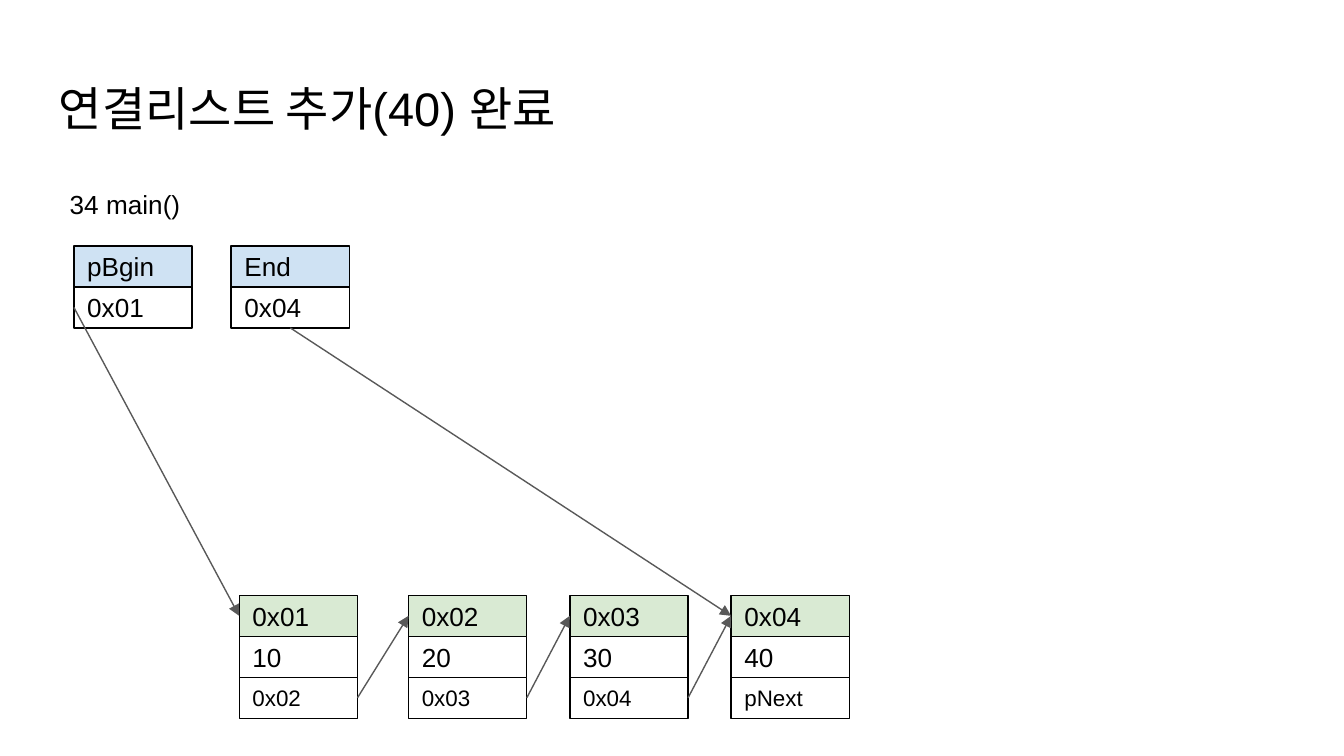
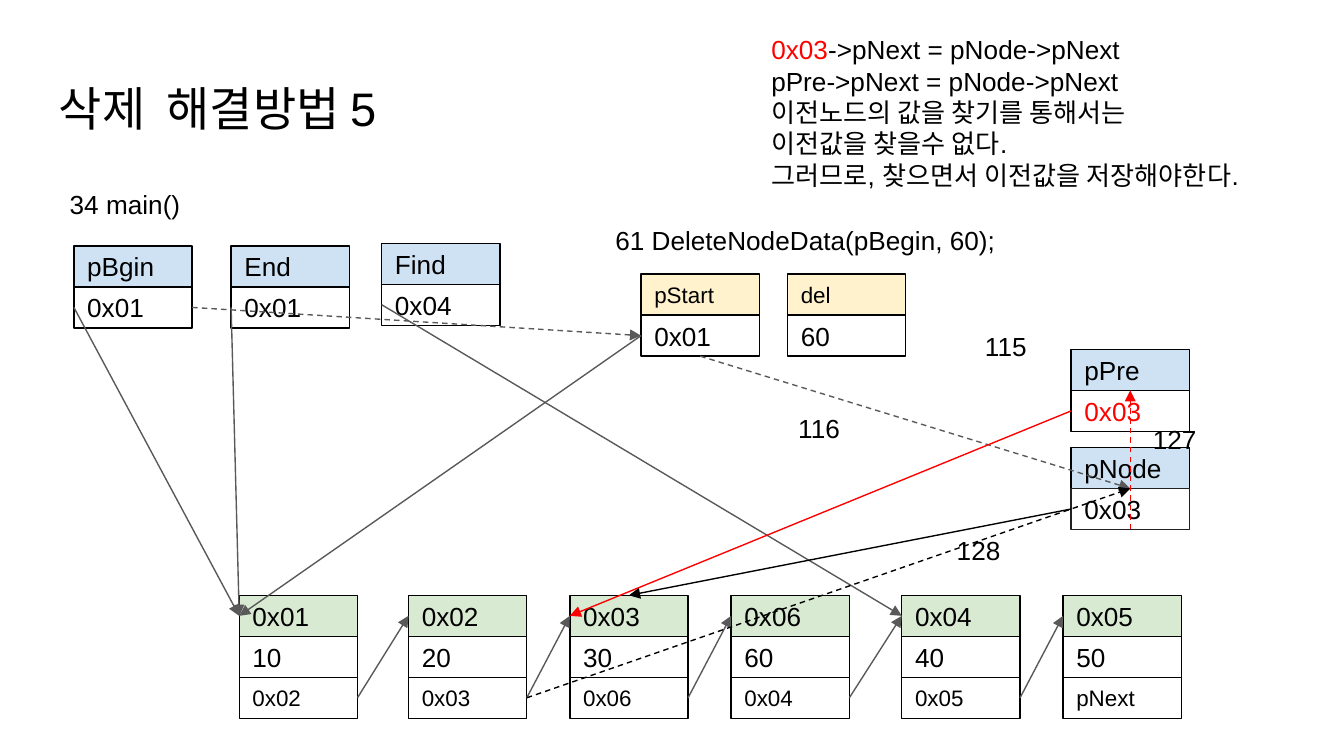
from lxml.etree import SubElement
from pptx import Presentation
from pptx.dml.color import RGBColor
from pptx.enum.dml import MSO_LINE_DASH_STYLE as Dash
from pptx.enum.shapes import MSO_CONNECTOR as Conn, MSO_SHAPE as Kind
from pptx.enum.text import MSO_ANCHOR as Anchor, MSO_AUTO_SIZE as Auto, PP_ALIGN as Align
from pptx.oxml.ns import qn
from pptx.util import Pt

SCALE = 4572
WIDE, TALL = 2000, 1125
CELL_W, CELL_H = 176, 61
PAD = 20
CHAIN_Y = 886
CHAIN_X = (356, 608, 848, 1088, 1342, 1582)
FONT = "Arial"
BLACK, WHITE, GRAY, RED = "000000", "FFFFFF", "595959", "FF0000"
BLUE, GREEN, CREAM = "CFE2F3", "D9EAD3", "FFF2CC"
TOP, LEFT, BOTTOM, RIGHT = range(4)


def px(*sizes):
    """Turn px lengths into EMU."""
    return [size * SCALE for size in sizes]


def color(code):
    """Turn a hex string into a colour."""
    return RGBColor.from_string(code)


def style(para, size, ink=BLACK):
    """Format every run of a paragraph."""
    for run in para.runs:
        run.font.name = FONT
        run.font.size = Pt(size)
        run.font.color.rgb = color(ink)


def frame(shape):
    """Set the insets and wrapping of a shape and return its text frame."""
    body = shape.text_frame
    body.word_wrap = True
    body.margin_left, body.margin_top, body.margin_right, body.margin_bottom = px(*[PAD] * 4)
    return body


def label(slide, box, text, size=14, fit=True):
    """Place plain text in a box."""
    body = frame(slide.shapes.add_textbox(*px(*box)))
    body.auto_size = Auto.SHAPE_TO_FIT_TEXT if fit else Auto.NONE
    body.text = text
    for para in body.paragraphs:
        style(para, size)
    return body


def cell(group, x, y, text, fill, size, ink, edge):
    """Draw one outlined cell."""
    shape = group.shapes.add_shape(Kind.RECTANGLE, *px(x, y, CELL_W, CELL_H))
    shape.shadow.inherit = False
    shape.fill.solid()
    shape.fill.fore_color.rgb = color(fill)
    shape.line.color.rgb = color(edge)
    shape.line.width = Pt(0.75)
    body = frame(shape)
    body.vertical_anchor = Anchor.MIDDLE
    body.text = text
    para = body.paragraphs[0]
    para.alignment = Align.LEFT
    style(para, size, ink)
    return shape


def stack(slide, x, y, texts, head, sizes=(14, 14, 12), ink=BLACK, edge=BLACK):
    """Draw a grouped column of cells with a tinted head."""
    group = slide.shapes.add_group_shape()
    cells = []
    for row, (text, size) in enumerate(zip(texts, sizes)):
        fill, tone, rim = (WHITE, ink, edge) if row else (head, BLACK, BLACK)
        cells.append(cell(group, x, y + row * CELL_H, text, fill, size, tone, rim))
    return cells


def arrow(slide, start, end, ink=GRAY, dash=False):
    """Join two (cell, side) pairs with an arrow."""
    line = slide.shapes.add_connector(Conn.STRAIGHT, 0, 0, 0, 0)
    line.begin_connect(*start)
    line.end_connect(*end)
    line.line.color.rgb = color(ink)
    line.line.width = Pt(0.75)
    if dash:
        line.line.dash_style = Dash.DASH
    props = line._element.spPr
    SubElement(props.find(qn("a:ln")), qn("a:tailEnd"), type="triangle")
    SubElement(props, qn("a:effectLst"))


def chain(slide, data):
    """Draw the linked nodes from (address, value) pairs."""
    links = [name for name, _ in data[1:]] + ["pNext"]
    nodes = [stack(slide, x, CHAIN_Y, (*pair, link), GREEN)
             for x, pair, link in zip(CHAIN_X, data, links)]
    for node, after in zip(nodes, nodes[1:]):
        arrow(slide, (node[2], RIGHT), (after[0], LEFT))
    return nodes


def base(deck, title, last, data):
    """Start a slide with its title, main() variables and chain."""
    slide = deck.slides.add_slide(deck.slide_layouts[6])
    label(slide, (68, 98, 1864, 126), title, 25.2, False)
    label(slide, (84, 260, 1098, 88), "34 main()")
    first = stack(slide, 110, 366, ("pBgin", "0x01"), BLUE)
    end = stack(slide, 344, 366, ("End", last), BLUE)
    nodes = chain(slide, data)
    arrow(slide, (first[1], LEFT), (nodes[0][0], LEFT))
    return slide, first, end, nodes


def note(slide, box):
    """Write the explanation at the top right."""
    body = label(slide, box, "0x03\npPre->pNext = pNode->pNext\v이전노드의 값을 찾기를 통해서는\n"
                 "이전값을 찾을수 없다.\n그러므로, 찾으면서 이전값을 저장해야한다.")
    lead = body.paragraphs[0]
    lead.add_run().text = "->pNext = pNode->pNext"
    style(lead, 14)
    lead.runs[0].font.color.rgb = color(RED)


def added(deck):
    """Build the slide on the finished insertion."""
    data = [("0x01", "10"), ("0x02", "20"), ("0x03", "30"), ("0x04", "40")]
    slide, _, end, nodes = base(deck, "연결리스트 추가(40) 완료", "0x04", data)
    arrow(slide, (end[1], BOTTOM), (nodes[3][0], LEFT))


def removed(deck):
    """Build the slide on the deletion."""
    data = [("0x01", "10"), ("0x02", "20"), ("0x03", "30"),
            ("0x06", "60"), ("0x04", "40"), ("0x05", "50")]
    slide, first, end, nodes = base(deck, "삭제  해결방법 5", "0x01", data)
    find = stack(slide, 568, 362, ("Find", "0x04"), BLUE)
    start = stack(slide, 954, 408, ("pStart", "0x01"), CREAM, (12, 14))
    stack(slide, 1172, 408, ("del", "60"), CREAM, (12, 14))
    prev = stack(slide, 1594, 520, ("pPre", "0x03"), BLUE, ink=RED)
    node = stack(slide, 1594, 666, ("pNode", "0x03"), BLUE, edge="212121")
    heads = [column[0] for column in nodes]
    for line in (
        ((start[1], LEFT), (heads[0], LEFT)),
        ((end[1], LEFT), (heads[0], LEFT)),
        ((find[1], LEFT), (heads[4], LEFT)),
        ((first[1], RIGHT), (start[1], LEFT), GRAY, True),
        ((node[1], LEFT), (heads[2], TOP), BLACK),
        ((start[1], BOTTOM), (node[1], TOP), GRAY, True),
        ((nodes[1][2], RIGHT), (node[1], TOP), BLACK, True),
        ((node[1], BOTTOM), (prev[1], TOP), RED, True),
        ((prev[1], LEFT), (heads[2], LEFT), RED),
    ):
        arrow(slide, *line)
    label(slide, (896, 314, 688, 88), "61 DeleteNodeData(pBegin, 60);")
    note(slide, (1128, 30, 842, 276))
    for x, y, step in ((1168, 594, "116"), (1446, 472, "115"),
                       (1404, 776, "128"), (1696, 610, "127")):
        label(slide, (x, y, 138, 88), step)


def main():
    """Build and save the deck."""
    deck = Presentation()
    deck.slide_width, deck.slide_height = px(WIDE, TALL)
    added(deck)
    removed(deck)
    deck.save("out.pptx")


if __name__ == "__main__":
    main()
